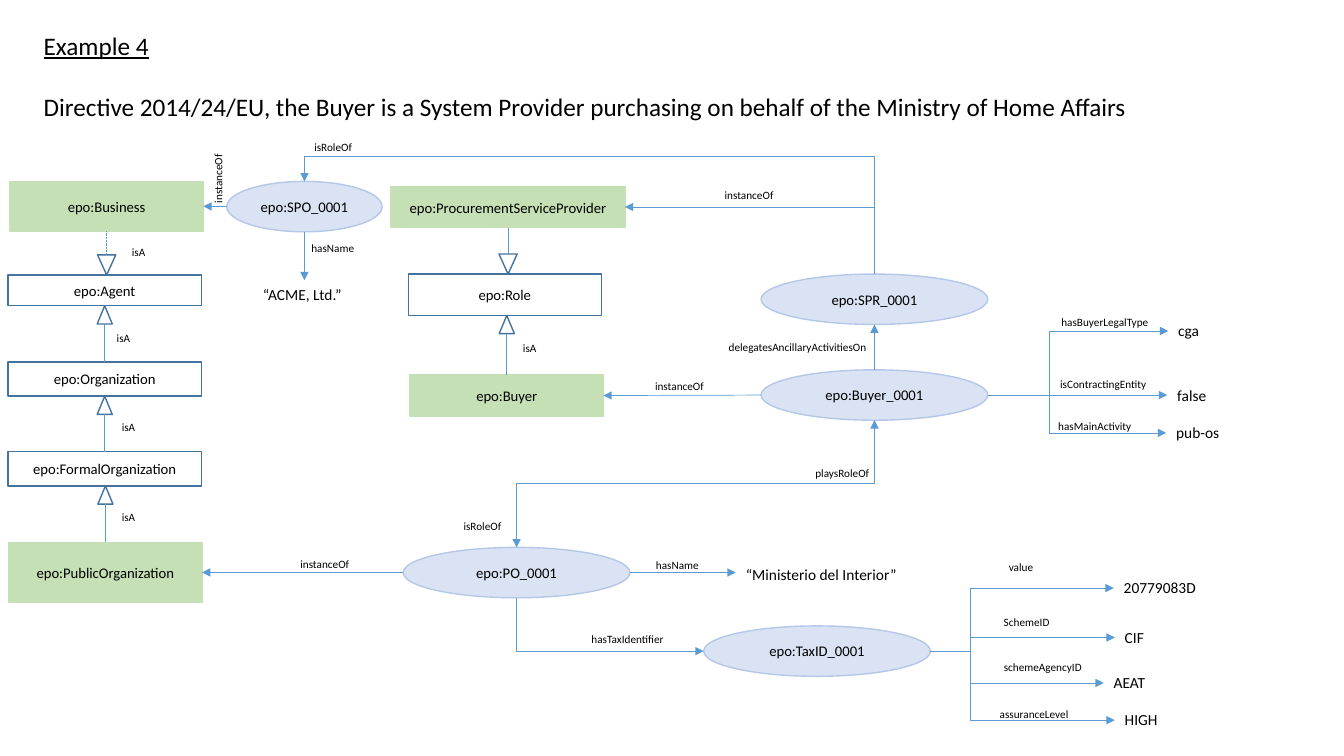
import pptx
import pptx.util
import pptx.dml.color
import pptx.enum.dml
import pptx.enum.shapes
import pptx.enum.text
import pptx.oxml
import pptx.oxml.ns

Pt = pptx.util.Pt
SHAPE = pptx.enum.shapes.MSO_SHAPE
CONNECTOR = pptx.enum.shapes.MSO_CONNECTOR
TOP, LEFT, BOTTOM, RIGHT = range(4)

# Content: lengths in points
TITLE = ["Example 4",
         "Directive 2014/24/EU, the Buyer is a System Provider purchasing "
         "on behalf of the Ministry of Home Affairs"]

GREEN = (SHAPE.RECTANGLE, "C5E0B4", "C5E0B4")
WHITE = (SHAPE.RECTANGLE, None, "43739E")
BLUE = (SHAPE.OVAL, "DAE3F3", "B4C7E7")

NODES = {  # name: (style, left, top, width, height)
    "Business": (GREEN, 7.2, 129.6, 138, 35.5),
    "Agent": (WHITE, 5.8, 196.4, 138, 22),
    "Organization": (WHITE, 5.8, 258.5, 138, 24.5),
    "FormalOrganization": (WHITE, 5.8, 322.6, 138, 24.5),
    "PublicOrganization": (GREEN, 6.3, 387.4, 138, 43),
    "ProcurementServiceProvider": (GREEN, 279.4, 133.2, 167, 29.5),
    "Role": (WHITE, 291.6, 195.8, 138, 29.5),
    "Buyer": (GREEN, 293, 267.8, 138, 29.5),
    "SPO_0001": (BLUE, 162, 129.6, 111, 36),
    "SPR_0001": (BLUE, 543.6, 195.8, 162, 36),
    "Buyer_0001": (BLUE, 543.6, 264.2, 162, 36),
    "PO_0001": (BLUE, 288, 391, 162, 36),
    "TaxID_0001": (BLUE, 502.6, 447.1, 162, 36),
}

SUBCLASSES = [  # child, parent
    ("Business", "Agent"), ("Organization", "Agent"),
    ("FormalOrganization", "Organization"),
    ("PublicOrganization", "FormalOrganization"),
    ("ProcurementServiceProvider", "Role"), ("Buyer", "Role"),
]

INSTANCES = [("SPO_0001", "Business"), ("Buyer_0001", "Buyer"),
             ("PO_0001", "PublicOrganization")]

VALUES = [  # node, trunk x (None for a straight arrow), text, left, top, width
    ("Buyer_0001", 749.5, "cga", 834.5, 226.1, 29.5),
    ("Buyer_0001", None, "false", 833.8, 272.2, 35.3),
    ("Buyer_0001", 749.5, "pub-os", 833, 298.8, 45.4),
    ("TaxID_0001", 693.2, "20779083D", 795.6, 409.7, 67),
    ("TaxID_0001", 693.2, "CIF", 796.3, 445, 28),
    ("TaxID_0001", 693.2, "AEAT", 788.4, 477.4, 37),
    ("TaxID_0001", 693.2, "HIGH", 796.3, 504, 38),
    ("PO_0001", None, "“Ministerio del Interior”", 525.6, 400.3, 123),
]
COMPANY = ("“ACME, Ltd.”", 180.7, 200.2, 73.4)

LABELS = {  # text: (width, places)
    "isA": (24.5, [(87.1, 171.4), (76.3, 233.3), (79.9, 296.6),
                   (79.9, 360.7), (366.5, 240.5)]),
    "instanceOf": (49.7, [(207.4, 394.6), (460.8, 267.1), (510.5, 131)]),
    "isRoleOf": (41.8, [(217.4, 96.5), (324, 367.2)]),
    "hasName": (45.4, [(215.3, 169.2), (461.5, 395.3)]),
    "delegatesAncillaryActivitiesOn": (113, [(513.4, 239.8)]),
    "playsRoleOf": (54, [(575.3, 329.8)]),
    "hasBuyerLegalType": (77.8, [(751, 221.8)]),
    "isContractingEntity": (77, [(750.2, 265.7)]),
    "hasMainActivity": (67.7, [(748.8, 295.9)]),
    "hasTaxIdentifier": (67.7, [(415.4, 447.8)]),
    "value": (32.4, [(713.5, 396.7)]),
    "SchemeID": (47.5, [(709.9, 436.3)]),
    "schemeAgencyID": (70.6, [(709.9, 468)]),
    "assuranceLevel": (64.8, [(707, 501.8)]),
}

presentation = pptx.Presentation()
presentation.slide_width, presentation.slide_height = Pt(960), Pt(540)
slide = presentation.slides.add_slide(presentation.slide_layouts[5])
shapes = slide.shapes


def color(hex_string):
    return pptx.dml.color.RGBColor.from_string(hex_string)


def set_font(paragraph, size):
    paragraph.font.name = "Calibri"
    paragraph.font.size = Pt(size)
    paragraph.font.color.rgb = color("000000")


def add_shape(kind, fill, line, left, top, width, height):
    shape = shapes.add_shape(kind, Pt(left), Pt(top), Pt(width), Pt(height))
    shape.shadow.inherit = False
    if fill:
        shape.fill.solid()
        shape.fill.fore_color.rgb = color(fill)
    else:
        shape.fill.background()
    shape.line.color.rgb = color(line)
    shape.line.width = Pt(1)
    return shape


def add_text(text, left, top, width, size, height):
    box = shapes.add_textbox(Pt(left), Pt(top), Pt(width), Pt(height))
    box.text_frame.word_wrap = False
    box.text_frame.auto_size = pptx.enum.text.MSO_AUTO_SIZE.SHAPE_TO_FIT_TEXT
    box.text_frame.text = text
    set_font(box.text_frame.paragraphs[0], size)
    return box


def side(name, site):
    _, left, top, width, height = NODES[name]
    return [(left + width / 2, top), (left, top + height / 2),
            (left + width / 2, top + height), (left + width, top + height / 2)][site]


def add_line(start, end, kind=CONNECTOR.STRAIGHT, ends=("tailEnd",), dash=None):
    connector = shapes.add_connector(kind, *map(Pt, start + end))
    connector.line.color.rgb = color("5B9BD5")
    connector.line.width = Pt(0.5)
    if dash:
        connector.line.dash_style = dash
    properties = connector._element.spPr
    for tag in ends:
        arrow = pptx.oxml.parse_xml(
            f'<a:{tag} {pptx.oxml.ns.nsdecls("a")} type="triangle"/>')
        connector.line._get_or_add_ln().append(arrow)
    properties.append(pptx.oxml.parse_xml(
        f'<a:effectLst {pptx.oxml.ns.nsdecls("a")}/>'))
    return connector


def add_elbow(start, end, bend=None, turn=0, ends=("tailEnd",)):
    """Bend at x (turn 0) or y (turn 90 or 270); one corner if bend is None."""
    (x1, y1), (x2, y2) = start, end
    first, last = (y1, y2) if turn else (x1, x2)
    if turn:  # ends of the same line before it is turned about its centre
        sign = 1 if turn == 90 else -1
        middle_x, middle_y = (x1 + x2) / 2, (y1 + y2) / 2
        across, down = sign * (y1 - y2) / 2, sign * (x2 - x1) / 2
        start = (middle_x + across, middle_y + down)
        end = (middle_x - across, middle_y - down)
    connector = add_line(start, end, CONNECTOR.ELBOW, ends)
    properties = connector._element.spPr
    if turn:
        properties.find(pptx.oxml.ns.qn("a:xfrm")).set("rot", str(turn * 60000))
    geometry = properties.find(pptx.oxml.ns.qn("a:prstGeom"))
    if bend is None:
        geometry.set("prst", "bentConnector2")
    else:
        share = round((bend - first) / (last - first) * 100000)
        guides = geometry.find(pptx.oxml.ns.qn("a:avLst"))
        guides.append(pptx.oxml.parse_xml(
            f'<a:gd {pptx.oxml.ns.nsdecls("a")} name="adj1" fmla="val {share}"/>'))


# Title
title = shapes.title
title.left, title.top, title.width, title.height = Pt(24), Pt(18), Pt(918), Pt(73)
frame = title.text_frame
frame.text = "\n".join(TITLE)
frame.word_wrap = True
frame.auto_size = pptx.enum.text.MSO_AUTO_SIZE.NONE
frame.vertical_anchor = pptx.enum.text.MSO_ANCHOR.TOP
for paragraph in frame.paragraphs:
    paragraph.alignment = pptx.enum.text.PP_ALIGN.LEFT
    set_font(paragraph, 18)
frame.paragraphs[0].font.underline = True
frame.paragraphs[1].space_before = Pt(22)

# Classes and individuals
boxes = {}
for name, (style, *place) in NODES.items():
    boxes[name] = add_shape(*style, *place)
    frame = boxes[name].text_frame
    frame.text = "epo:" + name
    frame.vertical_anchor = pptx.enum.text.MSO_ANCHOR.MIDDLE
    frame.paragraphs[0].alignment = pptx.enum.text.PP_ALIGN.CENTER
    set_font(frame.paragraphs[0], 10.5)

# Subclass arrows with open triangles
for child, parent in SUBCLASSES:
    down = NODES[child][2] < NODES[parent][2]
    site = BOTTOM if down else TOP
    x, y = side(child, site)
    tip = side(parent, TOP if down else BOTTOM)[1]
    width, height = (13, 14.4) if down else (10.8, 13)
    base = tip - height if down else tip + height
    triangle = add_shape(SHAPE.ISOSCELES_TRIANGLE, "FFFFFF", "43739E",
                         x - width / 2, min(tip, base), width, height)
    triangle.rotation = 180 if down else 0
    dash = pptx.enum.dml.MSO_LINE.ROUND_DOT if child == "Business" else None
    add_line((x, base), (x, y), ends=(), dash=dash).end_connect(boxes[child], site)

# Arrows between individuals and classes
for individual, class_name in INSTANCES:
    arrow = add_line(side(individual, LEFT), side(class_name, RIGHT))
    arrow.end_connect(boxes[class_name], RIGHT)
add_line(side("Buyer_0001", TOP), side("SPR_0001", BOTTOM))
add_elbow(side("SPR_0001", TOP), side("ProcurementServiceProvider", RIGHT), turn=270)
add_elbow(side("SPR_0001", TOP), side("SPO_0001", TOP), bend=111.6, turn=270)
add_elbow(side("PO_0001", BOTTOM), side("TaxID_0001", LEFT), turn=270)
add_elbow(side("PO_0001", TOP), side("Buyer_0001", BOTTOM), bend=345.6, turn=90,
          ends=("headEnd", "tailEnd"))

# Attribute values
for name, trunk, text, left, top, width in VALUES:
    start = side(name, RIGHT)
    if trunk:
        add_elbow(start, (left, top + 10.4), bend=trunk)
    else:
        add_line(start, (left, start[1]))
    add_text(text, left, top, width, 11, 20.6)
add_line(side("SPO_0001", BOTTOM), (side("SPO_0001", BOTTOM)[0], COMPANY[2]))
add_text(*COMPANY, 11, 20.6)

# Relation labels
for text, (width, places) in LABELS.items():
    for left, top in places:
        add_text(text, left, top, width, 8, 17)
add_text("instanceOf", 131, 118.8, 49.7, 8, 17).rotation = 270

presentation.save("out.pptx")
